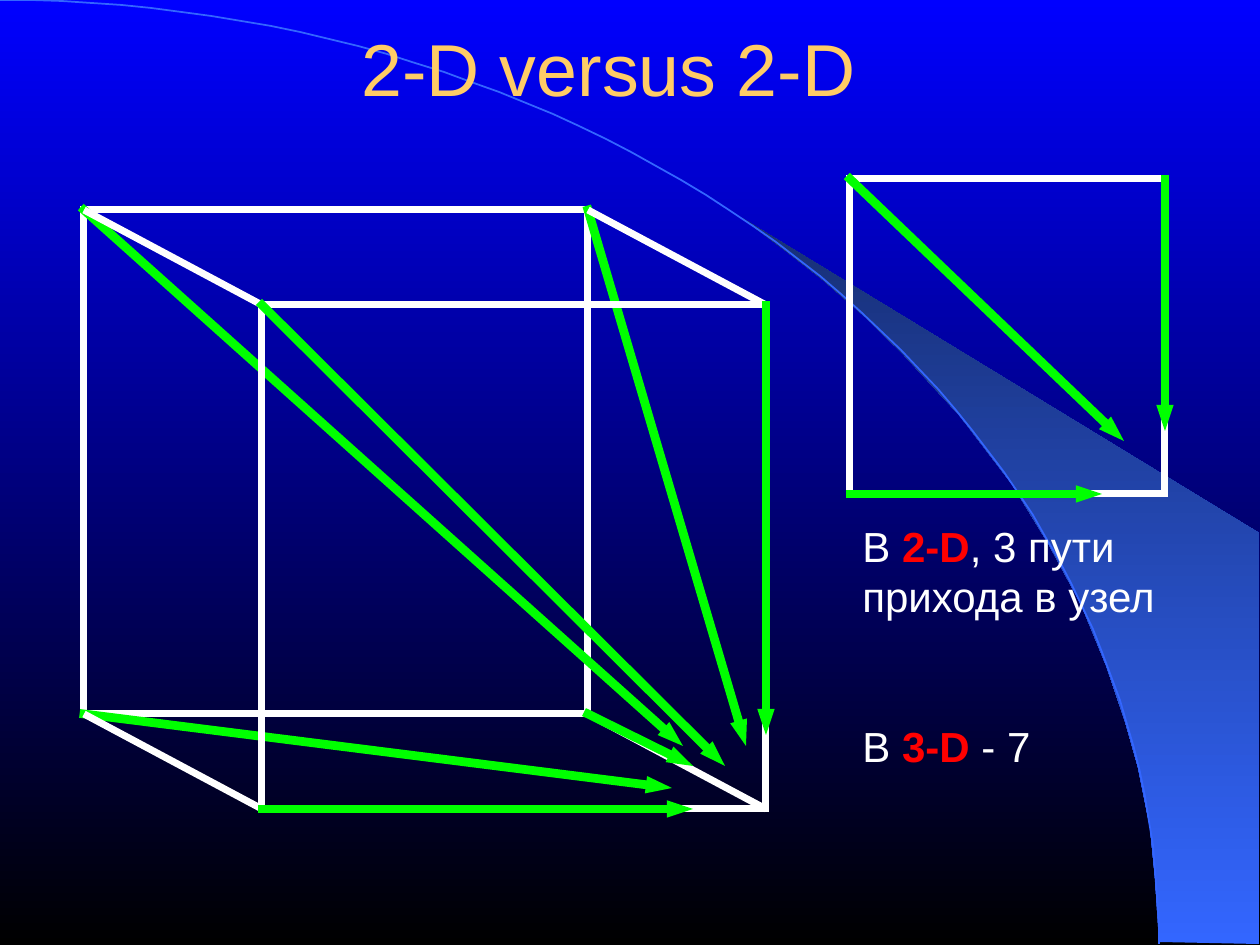
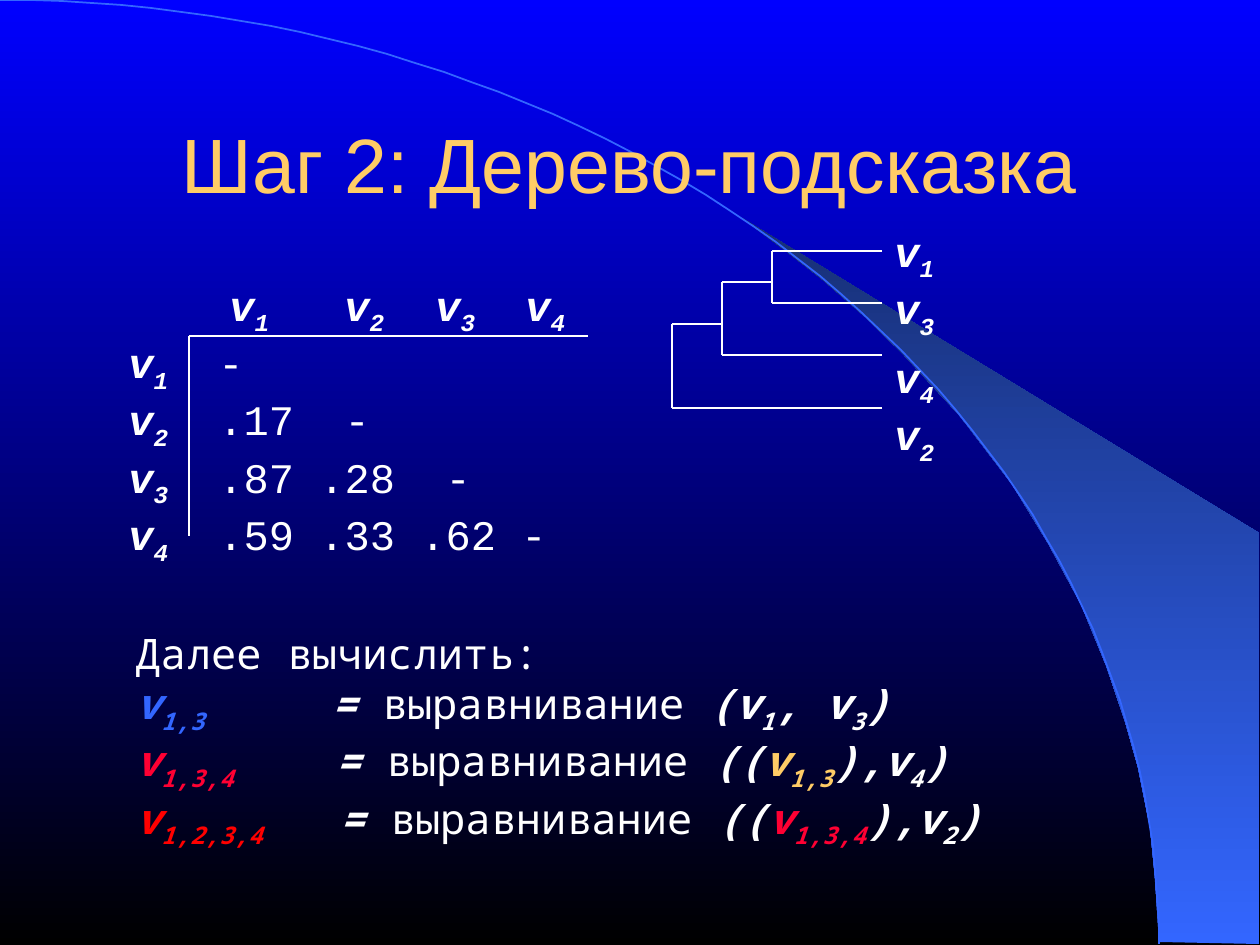
from collections import namedtuple
from math import cos, pi, sin

from lxml.etree import SubElement
from pptx import Presentation
from pptx.dml.color import RGBColor
from pptx.enum.shapes import MSO_CONNECTOR, MSO_SHAPE
from pptx.enum.text import MSO_ANCHOR, MSO_AUTO_SIZE, PP_ALIGN
from pptx.oxml.ns import qn
from pptx.util import Emu, Pt

EMU_PER_PX = 914400 / 126

WHITE = RGBColor(0xFF, 0xFF, 0xFF)
BLACK = RGBColor(0x00, 0x00, 0x00)
BLUE = RGBColor(0x00, 0x00, 0xFF)
SKY = RGBColor(0x33, 0x66, 0xFF)
NAVY = RGBColor(0x17, 0x2F, 0x75)
GOLD = RGBColor(0xFF, 0xCC, 0x66)
GREEN = RGBColor(0x00, 0xFF, 0x00)
RED = RGBColor(0xFF, 0x00, 0x00)
CRIMSON = RGBColor(0xFF, 0x00, 0x33)

Run = namedtuple("Run", "text color bold italic subscript",
                 defaults=(WHITE, False, False, False))


def emphasis(text, color=WHITE):
    return Run(text, color, True, True)


def v(index, color=WHITE):
    """Runs for the variable v with a subscript."""
    return [emphasis("v", color), Run(index, color, True, True, True)]


# Shared background
BAND = [(1159, 942), (1259, 944), (1259, 533), (742, 218), (786, 251),
        (823, 280), (863, 315), (902, 353), (960, 416), (1012, 484),
        (1048, 543), (1081, 604), (1106, 665), (1125, 721), (1138, 767),
        (1150, 827), (1155, 877)]
ARC_WIDTH, ARC_HEIGHT, ARC_STEPS = 1159, 944, 60

# Slide 1: squares are left, top, side; arrows are start corner, end point.
# Corners run clockwise from the top left.
BACK_SQUARE = (84, 210, 504)
FRONT_SQUARE = (262, 305, 504)
FLAT_SQUARE = (850, 179, 315)
HIDDEN_ARROWS = [(1, (746, 746)), (0, (683, 746)), (3, (672, 788))]
FLOOR_ARROWS = [(2, (693, 766))]
FRONT_ARROWS = [(3, (693, 809)), (1, (766, 735)), (0, (725, 766))]
FLAT_ARROWS = [(1, (1165, 431)), (0, (1124, 441)), (3, (1102, 494))]
PATH_NOTES = [
    ((850, 714, 346, 63), [Run("В "), Run("3-D", RED, True), Run(" - 7")]),
    ((850, 514, 346, 113), [Run("В "), Run("2-D", RED, True),
                            Run(", 3 пути прихода в узел")]),
]

# Slide 2
HEADER_STOPS = [101, 216, 307, 397]
VALUE_STOPS = [90 + 101 * column for column in range(4)]
MATRIX = [("1", ["-"]), ("2", [".17", " -"]), ("3", [".87", ".28", " -"]),
          ("4", [".59", ".33", ".62", "-"])]
MATRIX_AXES = [((189, 336), (189, 536)), ((189, 336), (588, 336))]
LEAVES = ["1", "3", "4", "2"]
LEAF_X = 882
LEAF_YS = [251, 303, 355, 408]
JOIN_XS = [772, 722, 672]
STEM_YS = [282, 324]
FIRST_EQUALS_STOP, EQUALS_STEP = 196, 4
FORMULAS = [
    (v("1,3", SKY), [emphasis(" ("), *v("1"), emphasis(", "), *v("3"), emphasis(")")]),
    (v("1,3,4", CRIMSON),
     [emphasis(" (("), *v("1,3", GOLD), emphasis("),"), *v("4"), emphasis(")")]),
    (v("1,2,3,4", RED),
     [emphasis(" (("), *v("1,3,4", CRIMSON), emphasis("),"), *v("2"), emphasis(")")]),
]


def px(length):
    return Emu(round(length * EMU_PER_PX))


def place(shape, box):
    shape.left, shape.top, shape.width, shape.height = map(px, box)


def set_gradient(fill, bottom, top):
    fill.gradient()
    fill.gradient_angle = 90
    for stop, color in zip(fill.gradient_stops, (bottom, top)):
        stop.color.rgb = color


def add_freeform(slide, points, close):
    builder = slide.shapes.build_freeform(*points[0], scale=EMU_PER_PX)
    builder.add_line_segments(points[1:], close=close)
    shape = builder.convert_to_shape()
    shape.shadow.inherit = False
    return shape


def decorate_master(master, slide):
    """Draw the background once, on the master; the slide lends its builder."""
    set_gradient(master.background.fill, BLACK, BLUE)
    band = add_freeform(slide, BAND, True)
    set_gradient(band.fill, SKY, NAVY)
    band.line.fill.background()
    angles = [pi / 2 * step / ARC_STEPS for step in range(ARC_STEPS + 1)]
    arc = add_freeform(slide, [(round(ARC_WIDTH * sin(angle)),
                                round(ARC_HEIGHT * (1 - cos(angle))))
                               for angle in angles], False)
    arc.fill.background()
    arc.line.color.rgb = SKY
    arc.line.width = Pt(1)
    for position, shape in enumerate((band, arc)):
        shape.element.nvSpPr.cNvPr.set("id", str(100 + position))
        master.shapes.element.insert(2 + position, shape.element)


def add_runs(paragraph, runs, font_name, size):
    for item in runs:
        run = paragraph.add_run()
        run.text = item.text
        font = run.font
        font.name, font.size = font_name, Pt(size)
        font.bold, font.italic = item.bold, item.italic
        font.color.rgb = item.color
        if item.subscript:
            run._r.get_or_add_rPr().set("baseline", "-25000")


def set_tab_stops(paragraph, stops):
    tab_list = SubElement(paragraph._p.get_or_add_pPr(), qn("a:tabLst"))
    for stop in stops:
        SubElement(tab_list, qn("a:tab"), pos=str(px(stop)), algn="l")


def add_text(slide, box, lines, font_name):
    """Add a text box of (runs, tab stops) lines and return its paragraphs."""
    frame = slide.shapes.add_textbox(*map(px, box)).text_frame
    frame.word_wrap = True
    frame.auto_size = MSO_AUTO_SIZE.SHAPE_TO_FIT_TEXT
    for number, (runs, stops) in enumerate(lines):
        paragraph = frame.add_paragraph() if number else frame.paragraphs[0]
        if stops:
            set_tab_stops(paragraph, stops)
        add_runs(paragraph, runs, font_name, 24)
    return frame.paragraphs


def set_title(slide, text, box, size):
    title = slide.shapes.title
    place(title, box)
    frame = title.text_frame
    frame.word_wrap = True
    frame.auto_size = MSO_AUTO_SIZE.NONE
    frame.vertical_anchor = MSO_ANCHOR.MIDDLE
    paragraph = frame.paragraphs[0]
    paragraph.alignment = PP_ALIGN.CENTER
    add_runs(paragraph, [Run(text, GOLD)], "Arial", size)
    return frame


def style_line(line, color, width):
    """Colour a line, give it a mitred join and return its XML element."""
    line.color.rgb = color
    line.width = Pt(width)
    outline = line._get_or_add_ln()
    SubElement(outline, qn("a:miter"), lim="800000")
    return outline


def add_line(slide, start, end, color=WHITE, width=0.75, arrow=False):
    connector = slide.shapes.add_connector(
        MSO_CONNECTOR.STRAIGHT, *map(px, (*start, *end)))
    outline = style_line(connector.line, color, width)
    if arrow:
        outline.set("cap", "sq")
        SubElement(outline, qn("a:tailEnd"), type="triangle", w="sm", len="med")
    SubElement(connector.element.spPr, qn("a:effectLst"))


def corners(square):
    left, top, side = square
    return [(left, top), (left + side, top),
            (left + side, top + side), (left, top + side)]


def add_square(slide, square):
    left, top, side = square
    shape = slide.shapes.add_shape(MSO_SHAPE.RECTANGLE, *map(px, (left, top, side, side)))
    shape.shadow.inherit = False
    shape.fill.background()
    style_line(shape.line, WHITE, 4)


def add_arrows(slide, square, arrows):
    for corner, end in arrows:
        add_line(slide, corners(square)[corner], end, GREEN, 5, arrow=True)


def build_paths_slide(slide):
    frame = set_title(slide, "2-D versus 2-D", (94, 0, 1071, 134), 42)
    frame.margin_right = px(55)
    add_square(slide, BACK_SQUARE)
    add_arrows(slide, BACK_SQUARE, HIDDEN_ARROWS)
    add_square(slide, FRONT_SQUARE)
    for back, front in zip(corners(BACK_SQUARE), corners(FRONT_SQUARE)):
        add_line(slide, back, front, WHITE, 4)
    add_arrows(slide, BACK_SQUARE, FLOOR_ARROWS)
    add_arrows(slide, FRONT_SQUARE, FRONT_ARROWS)
    add_square(slide, FLAT_SQUARE)
    add_arrows(slide, FLAT_SQUARE, FLAT_ARROWS)
    for box, runs in PATH_NOTES:
        add_text(slide, box, [(runs, None)], "Arial")


def add_tree(slide):
    labels = add_text(slide, (882, 219, 89, 253),
                      [(v(leaf), None) for leaf in LEAVES], "Courier New")
    labels[2].line_spacing = 1.2
    for y, x in zip(LEAF_YS, [JOIN_XS[0], *JOIN_XS]):
        add_line(slide, (LEAF_X, y), (x, y))
    for x, top, bottom in zip(JOIN_XS, [LEAF_YS[0], *STEM_YS], LEAF_YS[1:]):
        add_line(slide, (x, top), (x, bottom))
    for y, x, next_x in zip(STEM_YS, JOIN_XS, JOIN_XS[1:]):
        add_line(slide, (x, y), (next_x, y))


def add_matrix(slide):
    header = [run for name, _ in MATRIX for run in (Run("\t"), *v(name))]
    lines = [(header, HEADER_STOPS)]
    for name, values in MATRIX:
        cells = [Run("\t" + value) for value in values]
        lines.append((v(name) + cells, VALUE_STOPS))
    add_text(slide, (116, 273, 500, 300), lines, "Courier New")
    for start, end in MATRIX_AXES:
        add_line(slide, start, end)


def build_tree_slide(slide):
    set_title(slide, "Шаг 2: Дерево-подсказка", (94, 84, 1071, 158), 44)
    add_tree(slide)
    lines = [([Run("Далее вычислить:")], None)]
    for number, (name, arguments) in enumerate(FORMULAS):
        runs = [*name, emphasis("\t= "), Run("выравнивание"), *arguments]
        lines.append((runs, [FIRST_EQUALS_STOP + number * EQUALS_STEP]))
    add_text(slide, (123, 621, 1002, 236), lines, "Noto Sans Mono")
    add_matrix(slide)


def main():
    presentation = Presentation()
    presentation.slide_width, presentation.slide_height = px(1260), px(945)
    title_only = presentation.slide_layouts[5]
    paths_slide = presentation.slides.add_slide(title_only)
    decorate_master(presentation.slide_master, paths_slide)
    build_paths_slide(paths_slide)
    build_tree_slide(presentation.slides.add_slide(title_only))
    presentation.save("out.pptx")


if __name__ == "__main__":
    main()
